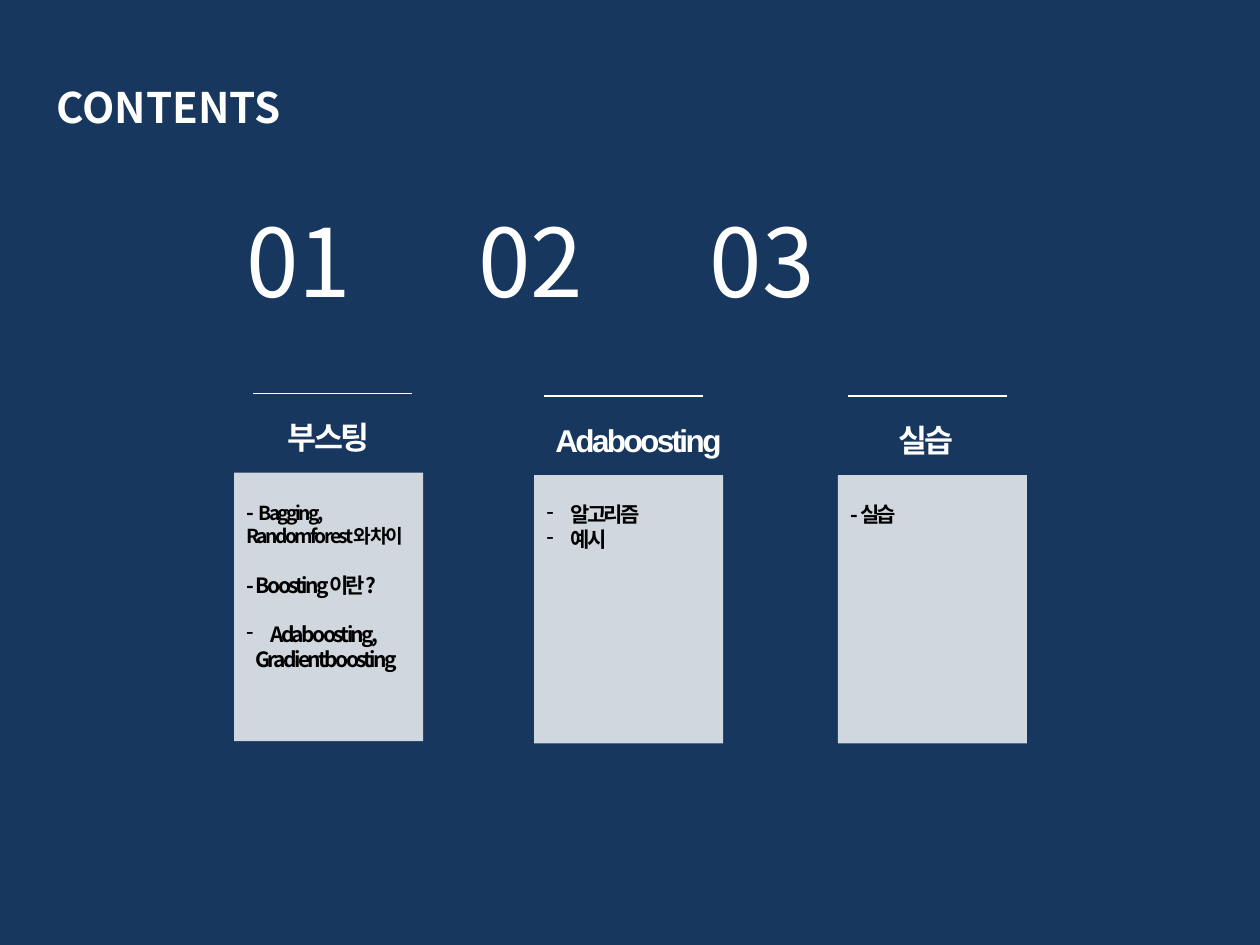
from dataclasses import dataclass

from lxml import etree
from pptx import Presentation
from pptx import util as u
from pptx.dml.color import RGBColor
from pptx.enum import shapes, text
from pptx.oxml import ns

NAVY = RGBColor(0x17, 0x37, 0x5E)
WHITE = RGBColor(0xFF, 0xFF, 0xFF)
BLACK = RGBColor(0, 0, 0)
SANS = "Noto Sans CJK KR"
HEADING_FONT = "Arial"
CARD_WIDTH, CARD_HEIGHT = 3.81, 5.41
RULE_WIDTH = 3.2
HANGING = 0.48
TAB_STEP = 4.67


@dataclass(frozen=True)
class Style:
    size: float
    font: str = SANS
    color: RGBColor = WHITE
    bold: bool = True
    tracking: float = 0


TITLE = Style(24)
NUMBER = Style(54, bold=False)
HEADING = Style(18, HEADING_FONT, tracking=-1.5)
BODY = Style(12, color=BLACK, tracking=-1.5)
SMALL_BODY = Style(11, color=BLACK, tracking=-1.5)


@dataclass(frozen=True)
class Line:
    spans: tuple[tuple[str, Style], ...]
    bullet: bool = False
    before: float = 0
    indent: float = 0
    centered: bool = False
    tabs: tuple[float, ...] = ()


@dataclass(frozen=True)
class Section:
    left: float
    top: float
    rule_left: float
    heading: str
    heading_left: float
    heading_width: float
    body_height: float
    lines: tuple[Line, ...]


SECTIONS = (
    Section(4.72, 9.53, 5.11, "부스팅", 4.72, 3.81, 3.81, (
        Line((("-  ", BODY), ("Bagging, Randomforest와 차이", SMALL_BODY))),
        Line((("-  Boosting이란?", BODY),), before=14),
        Line((("Adaboosting,", BODY),), bullet=True, before=14),
        Line((("Gradientboosting", BODY),), indent=0.18),
    )),
    Section(10.77, 9.58, 10.97, "Adaboosting", 10.57, 4.6, 3.33, (
        Line((("알고리즘", BODY),), bullet=True),
        Line((("예시", BODY),), bullet=True),
    )),
    Section(16.89, 9.58, 17.09, "실습", 15.62, 6.1, 1.27, (
        Line((("- 실습", BODY),)),
    )),
)


def format_paragraph(para, line: Line) -> None:
    props = para._p.get_or_add_pPr()
    if line.bullet:
        props.set("marL", str(u.Cm(HANGING)))
        props.set("indent", str(-u.Cm(HANGING)))
        etree.SubElement(props, ns.qn("a:buChar")).set("char", "-")
    elif line.indent:
        props.set("marL", str(u.Cm(line.indent)))
    if line.tabs:
        tab_list = etree.SubElement(props, ns.qn("a:tabLst"))
        for position in line.tabs:
            tab = etree.SubElement(tab_list, ns.qn("a:tab"))
            tab.set("pos", str(u.Cm(position)))
            tab.set("algn", "l")
    if line.before:
        para.space_before = u.Pt(line.before)
    if line.centered:
        para.alignment = text.PP_ALIGN.CENTER


def add_text(page, left: float, top: float, width: float, height: float,
             lines: tuple[Line, ...]) -> None:
    box = page.shapes.add_textbox(u.Cm(left), u.Cm(top), u.Cm(width), u.Cm(height))
    frame = box.text_frame
    frame.word_wrap = True
    frame.auto_size = text.MSO_AUTO_SIZE.SHAPE_TO_FIT_TEXT
    for index, line in enumerate(lines):
        para = frame.add_paragraph() if index else frame.paragraphs[0]
        format_paragraph(para, line)
        for words, style in line.spans:
            span = para.add_run()
            span.text = words
            span.font.size = u.Pt(style.size)
            span.font.name = style.font
            span.font.bold = style.bold
            span.font.color.rgb = style.color
            if style.tracking:
                span.font._element.set("spc", str(int(style.tracking * 100)))


def add_card(page, left: float, top: float) -> None:
    card = page.shapes.add_shape(shapes.MSO_SHAPE.RECTANGLE, u.Cm(left), u.Cm(top),
                                 u.Cm(CARD_WIDTH), u.Cm(CARD_HEIGHT))
    card.shadow.inherit = False
    card.fill.solid()
    card.fill.fore_color.rgb = WHITE
    color = card._element.spPr.find(".//" + ns.qn("a:srgbClr"))
    etree.SubElement(color, ns.qn("a:alpha")).set("val", "80000")
    card.line.fill.background()


def add_rule(page, left: float, top: float) -> None:
    rule = page.shapes.add_connector(shapes.MSO_CONNECTOR.STRAIGHT, u.Cm(left), u.Cm(top),
                                     u.Cm(left + RULE_WIDTH), u.Cm(top))
    rule.line.color.rgb = WHITE
    rule.line.width = u.Pt(0.75)
    etree.SubElement(rule._element.spPr, ns.qn("a:effectLst"))


def add_section(page, section: Section) -> None:
    add_card(page, section.left, section.top)
    add_rule(page, section.rule_left, section.top - 1.6)
    add_text(page, section.heading_left, section.top - 1.22, section.heading_width, 1.02,
             (Line(((section.heading, HEADING),), centered=True),))
    add_text(page, section.left, section.top + 0.41, CARD_WIDTH, section.body_height,
             section.lines)


def main() -> None:
    deck = Presentation()
    deck.slide_width, deck.slide_height = u.Cm(25.4), u.Cm(19.05)
    page = deck.slides.add_slide(deck.slide_layouts[6])
    page.background.fill.solid()
    page.background.fill.fore_color.rgb = NAVY

    # Title and section numbers
    add_text(page, 0.89, 1.52, 11.61, 1.27, (Line((("CONTENTS", TITLE),)),))
    add_text(page, 4.72, 3.96, 23.6, 2.57,
             (Line((("01\t02\t03", NUMBER),), tabs=(TAB_STEP, 2 * TAB_STEP)),))

    # Section columns
    for section in SECTIONS:
        add_section(page, section)

    deck.save("out.pptx")


if __name__ == "__main__":
    main()
